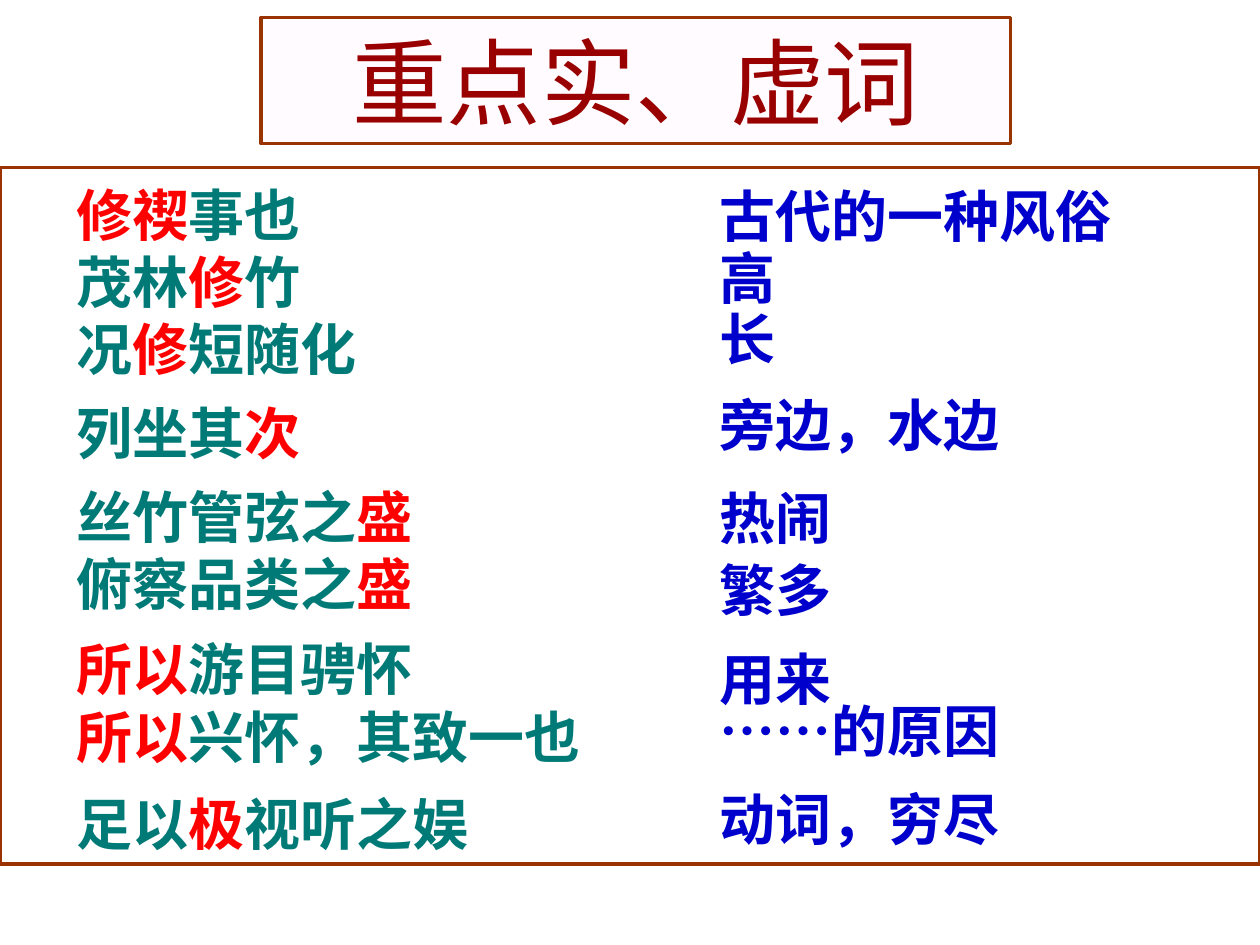
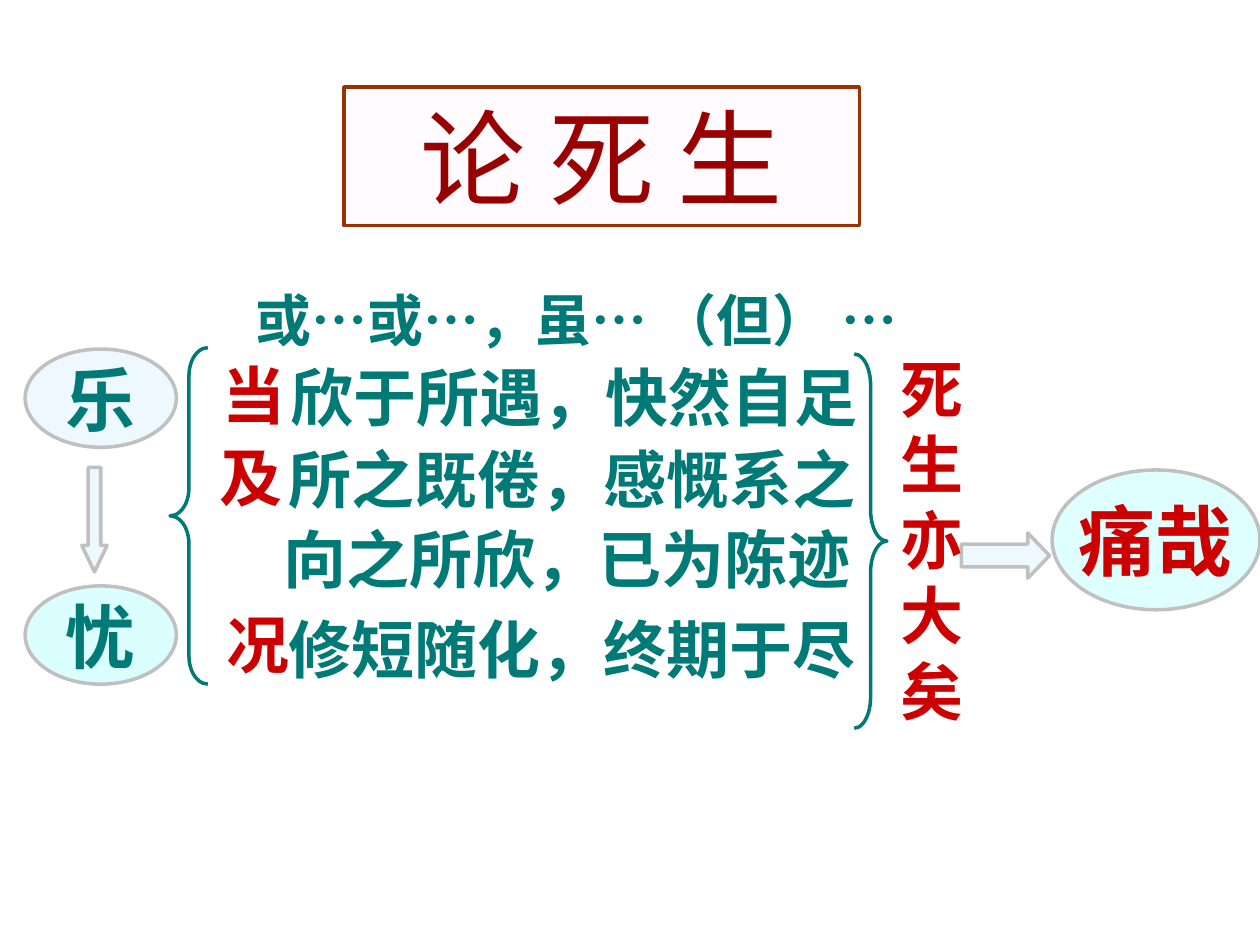
from dataclasses import dataclass

from lxml.etree import SubElement
from pptx import Presentation
from pptx.dml.color import RGBColor
from pptx.enum.shapes import MSO_SHAPE as Shape
from pptx.enum.text import MSO_ANCHOR as Anchor, PP_ALIGN as Align
from pptx.oxml.ns import qn
from pptx.util import Inches, Pt


@dataclass(frozen=True)
class Theme:
    body_font: str = "Arial"
    gloss_font: str = "Times New Roman"
    title: str = "990000"
    title_fill: str = "FFFBFF"
    frame: str = "993300"
    paper: str = "FFFFFF"
    teal: str = "007A77"
    key: str = "FF0000"
    crimson: str = "CC0000"
    gloss: str = "0000CC"
    pale: str = "EBF7FF"
    aqua: str = "CCFFFF"
    edge: str = "C0C0C0"
    line_width: int = 2
    word_size: int = 32
    verse_size: int = 36
    mood_size: int = 40
    outcry_size: int = 44


THEME = Theme()

# Asterisks enclose the key words of a phrase.
WORDS_TITLE = ("重点实、虚词", 54, (2.07, 0.14, 5.95, 1))
FRAME_BOX = (0, 1.33, 10, 5.53)
PHRASE_LEFT, GLOSS_LEFT = 0.51, 5.61
PHRASES = [  # top, width, line spacing, lines
    (1.38, 5.27, None, ["*修禊*事也", "茂林*修*竹", "况*修*短随化"]),
    (3.11, 3.35, None, ["列坐其*次*"]),
    (3.78, 3.9, None, ["丝竹管弦之*盛*", "俯察品类之*盛*"]),
    (4.99, 6.12, None, ["*所以*游目骋怀", "*所以*兴怀，其致一也"]),
    (6.19, 5, 1.05, ["足以*极*视听之娱"]),
]
GLOSSES = [
    (1.39, "古代的一种风俗"), (1.88, "高"), (2.37, "长"),
    (3.05, "旁边，水边"), (3.79, "热闹"), (4.36, "繁多"),
    (5.07, "用来"), (5.48, "……的原因"), (6.18, "动词，穷尽"),
]

LIFE_TITLE = ("论 死 生", 60, (2.73, 0.69, 4.09, 1.1))
PATTERN = ("或…或…，虽… （但） …", (1.93, 2.22, 5.84, 0.64))
VERSES = [  # text, left, top
    ("欣于所遇，快然自足", 2.21, 2.8),
    ("所之既倦，感慨系之", 2.19, 3.45),
    ("向之所欣，已为陈迹", 2.15, 4.08),
    ("修短随化，终期于尽", 2.19, 4.8),
]
OPENERS = [("当", 1.67, 2.78), ("及", 1.64, 3.43), ("况", 1.7, 4.76)]
VERDICT = ("死生亦大矣", (7.05, 2.73, 0.86, 3.1))
OVALS = [  # text, box, fill, opacity, size, colour
    ("乐", (0.2, 2.77, 1.2, 0.78), THEME.pale, 86, THEME.mood_size, THEME.teal),
    ("忧", (0.2, 4.65, 1.2, 0.78), THEME.aqua, 70, THEME.mood_size, THEME.teal),
    ("痛哉", (8.35, 3.73, 1.65, 1.11), THEME.aqua, 62, THEME.outcry_size, THEME.crimson),
]
ARROWS = [  # kind, box, adjustments
    (Shape.DOWN_ARROW, (0.65, 3.71, 0.2, 0.83), (0.5, 1.05)),
    (Shape.RIGHT_ARROW, (7.63, 4.23, 0.7, 0.36), (0.5, 0.48)),
]
BRACES = [
    (Shape.LEFT_BRACE, (1.35, 2.76, 0.3, 2.67), (0.74, 0.5)),
    (Shape.RIGHT_BRACE, (6.78, 2.81, 0.26, 2.97), (0.95, 0.5)),
]


def rgb(colour):
    return RGBColor.from_string(colour)


def add_run(paragraph, text, size, colour, font=THEME.body_font, bold=True):
    run = paragraph.add_run()
    run.text = text
    run.font.name, run.font.size, run.font.bold = font, Pt(size), bold
    run.font.color.rgb = rgb(colour)


def add_panel(slide, kind, box, fill, line, opacity=100, adjustments=()):
    """Add a preset shape; fill None leaves it hollow."""
    panel = slide.shapes.add_shape(kind, *map(Inches, box))
    panel.shadow.inherit = False
    for index, value in enumerate(adjustments):
        panel.adjustments[index] = value
    if fill is None:
        panel.fill.background()
    else:
        panel.fill.solid()
        panel.fill.fore_color.rgb = rgb(fill)
        if opacity < 100:
            colour = panel.fill._xPr.find(qn("a:solidFill"))[0]
            SubElement(colour, qn("a:alpha"), val=str(opacity * 1000))
    panel.line.color.rgb = rgb(line)
    panel.line.width = Pt(THEME.line_width)
    return panel


def centre_text(panel, text, size, colour, bold, wrap):
    frame = panel.text_frame
    frame.word_wrap, frame.vertical_anchor = wrap, Anchor.MIDDLE
    paragraph = frame.paragraphs[0]
    paragraph.alignment = Align.CENTER
    add_run(paragraph, text, size, colour, bold=bold)


def add_title(slide, text, size, box):
    banner = add_panel(slide, Shape.RECTANGLE, box, THEME.title_fill, THEME.frame)
    centre_text(banner, text, size, THEME.title, bold=False, wrap=True)


def add_text_frame(slide, box):
    frame = slide.shapes.add_textbox(*map(Inches, box)).text_frame
    frame.word_wrap = True
    return frame


def add_label(slide, text, box, size, colour, font=THEME.body_font):
    add_run(add_text_frame(slide, box).paragraphs[0], text, size, colour, font)


def add_phrases(slide, top, width, spacing, lines):
    height = 0.1 + 0.535 * len(lines)
    paragraph = add_text_frame(slide, (PHRASE_LEFT, top, width, height)).paragraphs[0]
    if spacing:
        paragraph.line_spacing = spacing
    for number, line in enumerate(lines):
        if number:
            paragraph.add_line_break()
        for index, part in enumerate(line.split("*")):
            if part:
                add_run(paragraph, part, THEME.word_size, THEME.key if index % 2 else THEME.teal)


def build_words(slide):
    add_panel(slide, Shape.RECTANGLE, FRAME_BOX, THEME.paper, THEME.frame)
    add_title(slide, *WORDS_TITLE)
    for group in PHRASES:
        add_phrases(slide, *group)
    for top, meaning in GLOSSES:
        add_label(slide, meaning, (GLOSS_LEFT, top, 4.33, 0.64),
                  THEME.word_size, THEME.gloss, THEME.gloss_font)


def build_life(slide):
    add_title(slide, *LIFE_TITLE)
    for text, box, fill, opacity, size, colour in OVALS:
        oval = add_panel(slide, Shape.OVAL, box, fill, THEME.edge, opacity)
        centre_text(oval, text, size, colour, bold=True, wrap=False)
    for kind, box, adjustments in ARROWS:
        add_panel(slide, kind, box, THEME.pale, THEME.edge, 81, adjustments)
    for kind, box, adjustments in BRACES:
        add_panel(slide, kind, box, None, THEME.teal, adjustments=adjustments)
    add_label(slide, *PATTERN, THEME.word_size, THEME.teal)
    for entries, width, colour in ((VERSES, 5.2, THEME.teal), (OPENERS, 0.69, THEME.crimson)):
        for text, left, top in entries:
            add_label(slide, text, (left, top, width, 0.7), THEME.verse_size, colour)
    verdict, box = VERDICT
    frame = add_text_frame(slide, box)
    for index, character in enumerate(verdict):
        paragraph = frame.add_paragraph() if index else frame.paragraphs[0]
        add_run(paragraph, character, THEME.verse_size, THEME.crimson)


def main():
    deck = Presentation()
    deck.slide_width, deck.slide_height = Inches(10), Inches(7.5)
    for build in (build_words, build_life):
        build(deck.slides.add_slide(deck.slide_layouts[6]))
    deck.save("out.pptx")


if __name__ == "__main__":
    main()
